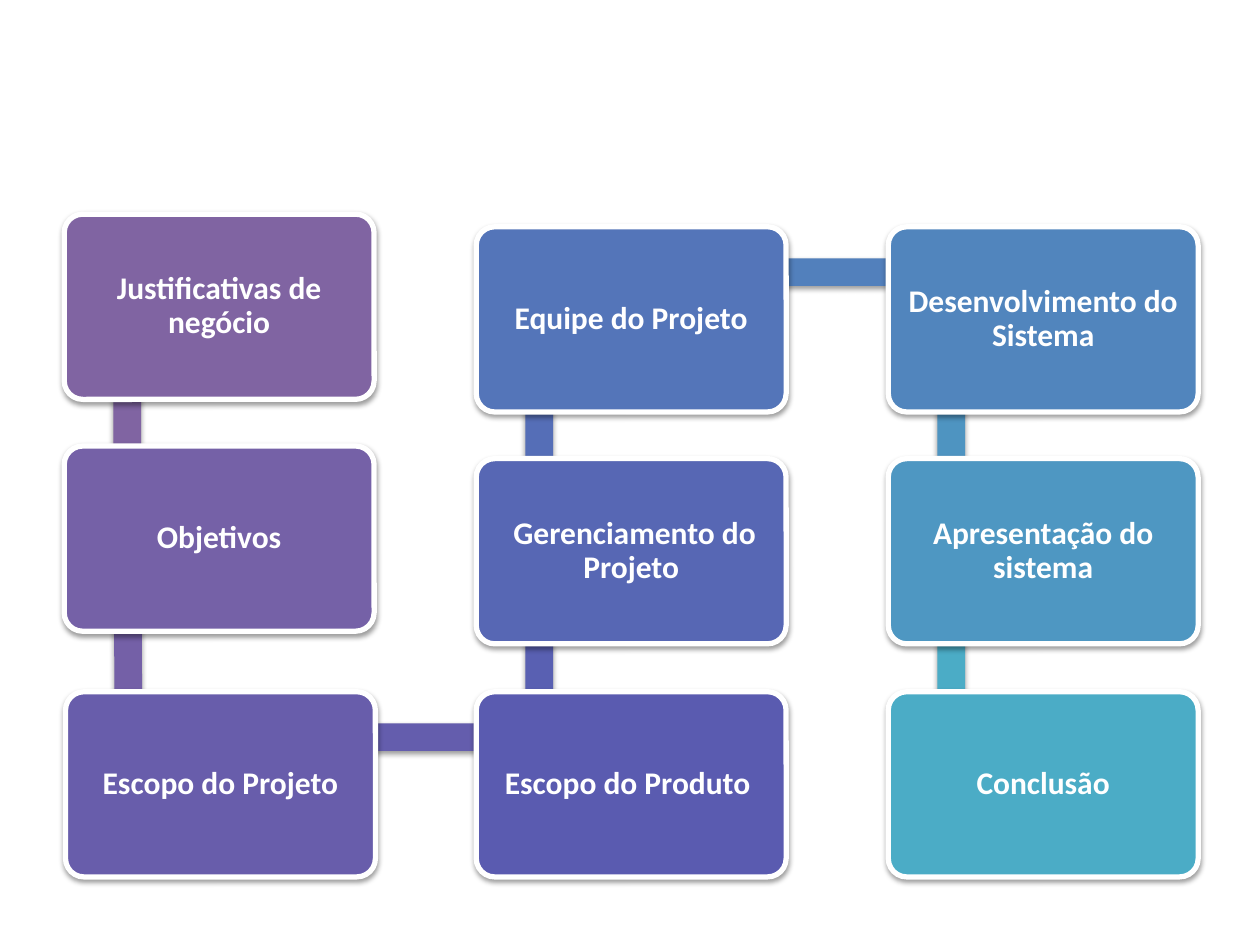
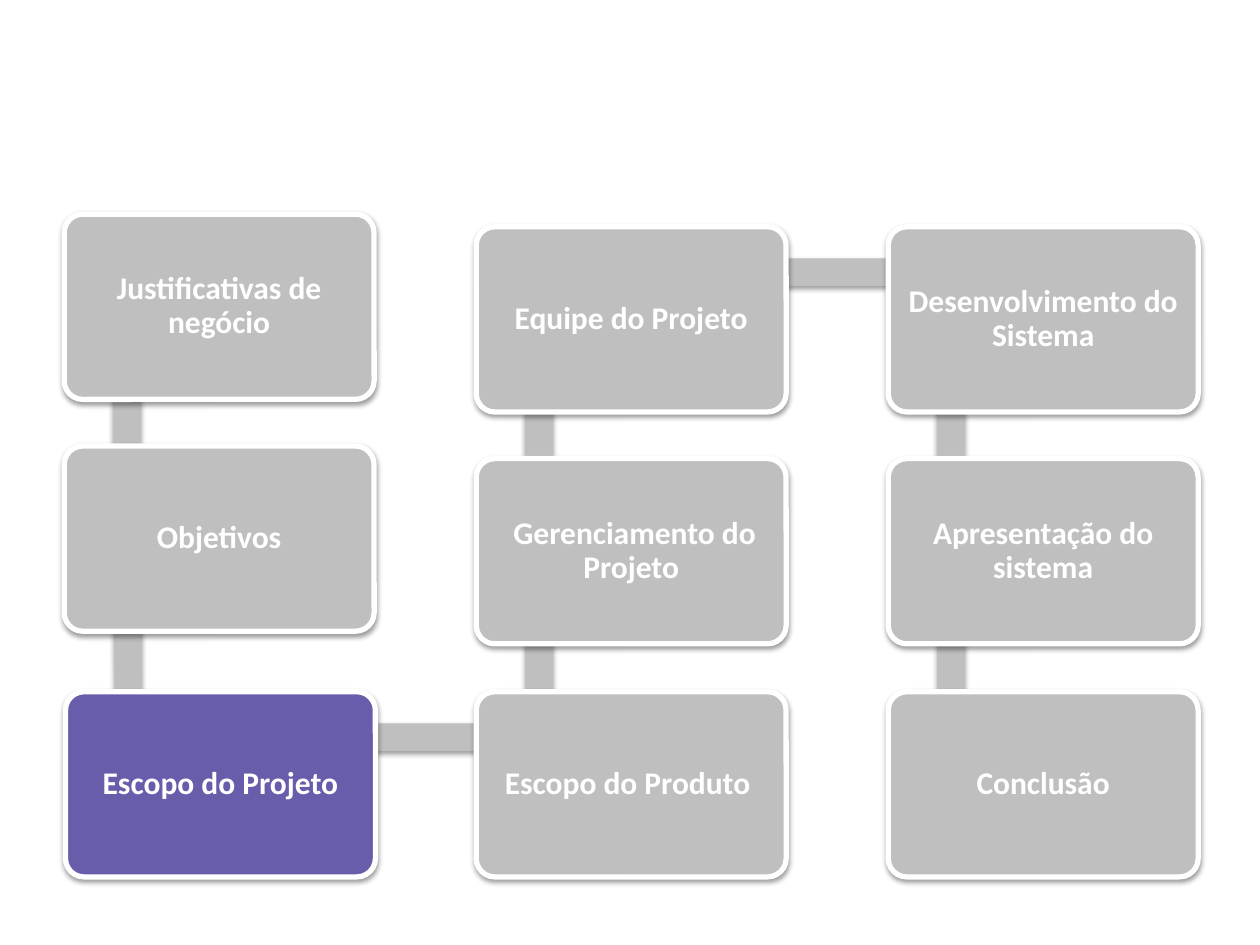
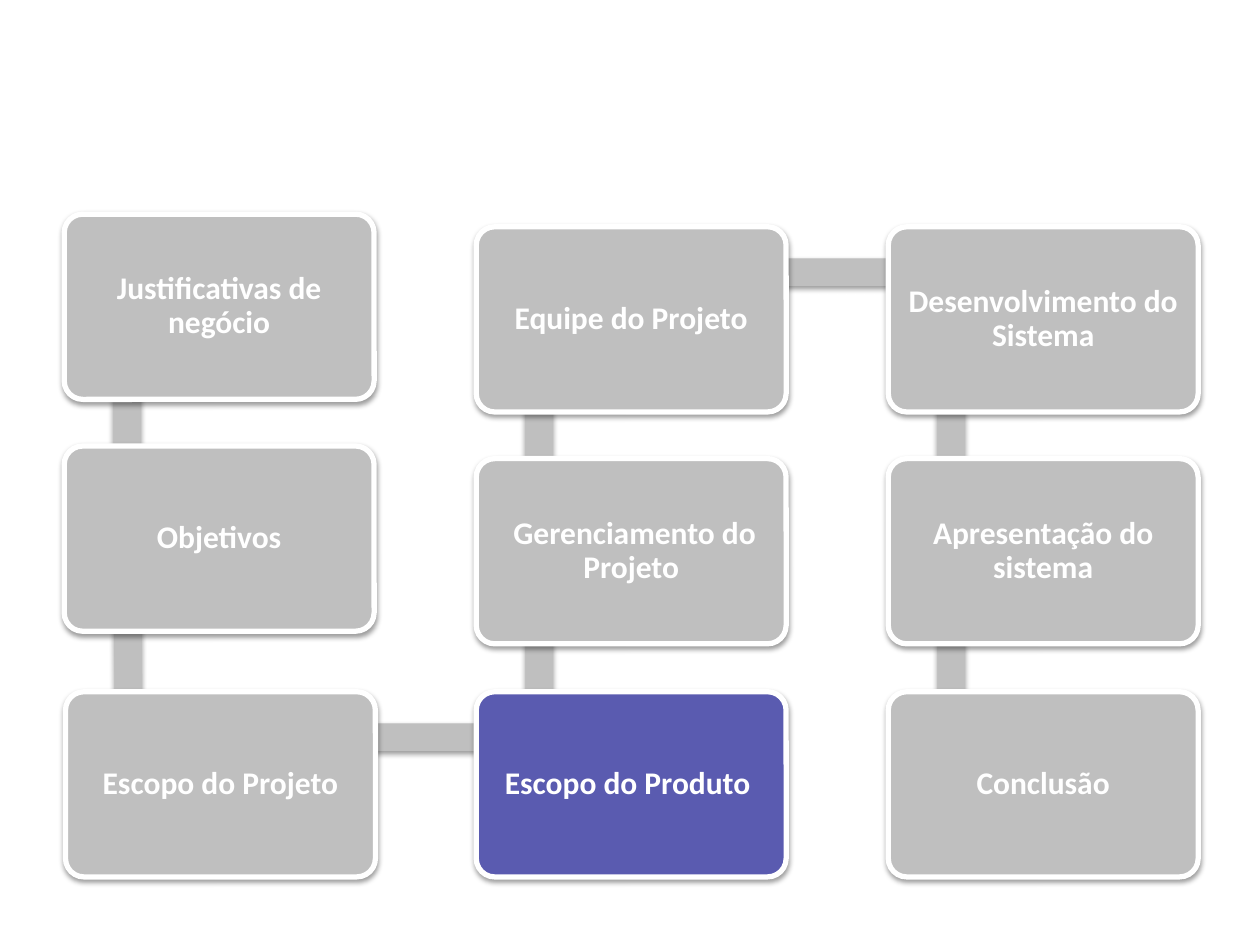
from dataclasses import dataclass
from itertools import zip_longest
from math import atan2, degrees, hypot

from pptx import Presentation
from pptx.dml.color import RGBColor
from pptx.enum.shapes import MSO_SHAPE as Kind
from pptx.enum.text import MSO_ANCHOR as Anchor, PP_ALIGN as Align
from pptx.oxml import parse_xml
from pptx.oxml.ns import nsdecls, qn
from pptx.shapes.autoshape import Shape
from pptx.slide import Slide
from pptx.util import Inches, Pt

WHITE, GREY = "FFFFFF", "BFBFBF"
FONT = "Calibri"
WIDE, HIGH = 2.46, 1.47
THICK = 0.22
HOOK_X, HOOK_Y = 0.5, 0.36
SHADOW = (
    f'<a:outerShdw {nsdecls("a")} blurRad="40000" dist="20000" dir="5400000" rotWithShape="0">'
    '<a:srgbClr val="000000"><a:alpha val="38000"/></a:srgbClr></a:outerShdw>'
)


@dataclass(frozen=True)
class Step:
    """One topic of the agenda and the bar that leaves it."""

    text: str
    left: float
    top: float
    fill: str
    bar: str = ""


STEPS = [
    Step("Justificativas de negócio", 0.51, 1.7, "8064A2", "8064A2"),
    Step("Objetivos", 0.51, 3.54, "7561A7", "7460A7"),
    Step("Escopo do Projeto", 0.52, 5.49, "685DAB", "645DAD"),
    Step("Escopo do Produto ", 3.78, 5.49, "5A5BB0", "5960B2"),
    Step(" Gerenciamento do Projeto", 3.78, 3.64, "5767B4", "556EB7"),
    Step("Equipe do Projeto", 3.78, 1.8, "5475B9", "5280BC"),
    Step("Desenvolvimento do Sistema", 7.05, 1.8, "5185BD", "4E94C1"),
    Step("Apresentação do sistema", 7.05, 3.64, "4E97C2", "4BACC6"),
    Step("Conclusão", 7.05, 5.49, "4BACC6"),
]


def color(code: str) -> RGBColor:
    """Turn a hex string into a colour."""
    return RGBColor.from_string(code)


def block(slide: Slide, kind: Kind, left: float, top: float,
          wide: float, high: float, fill: str) -> Shape:
    """Draw a filled shape with a soft shadow and no outline."""
    shape = slide.shapes.add_shape(
        kind, Inches(left), Inches(top), Inches(wide), Inches(high))
    shape.fill.solid()
    shape.fill.fore_color.rgb = color(fill)
    shape.line.fill.background()
    shape.shadow.inherit = False
    shape.element.spPr.find(qn("a:effectLst")).append(parse_xml(SHADOW))
    return shape


def link(slide: Slide, step: Step, goal: Step, fill: str) -> None:
    """Draw the bar that leads from one step to the next."""
    run, fall = goal.left - step.left, goal.top - step.top
    size = hypot(run, fall)
    mid_x = step.left + HOOK_X + run / 2
    mid_y = step.top + HOOK_Y + fall / 2
    bar = block(slide, Kind.RECTANGLE, mid_x - size / 2, mid_y - THICK / 2,
                size, THICK, fill)
    bar.rotation = degrees(atan2(fall, run)) % 360


def card(slide: Slide, step: Step, fill: str) -> None:
    """Draw the rounded box of a step with its label."""
    box = block(slide, Kind.ROUNDED_RECTANGLE, step.left, step.top, WIDE, HIGH, fill)
    box.adjustments[0] = 0.1
    box.line.color.rgb = color(WHITE)
    box.line.width = Pt(3)
    frame = box.text_frame
    frame.word_wrap = True
    frame.vertical_anchor = Anchor.MIDDLE
    frame.margin_left = frame.margin_right = Inches(0.07)
    frame.margin_top = frame.margin_bottom = Inches(0.07)
    para = frame.paragraphs[0]
    para.alignment = Align.CENTER
    para.line_spacing = 0.9
    run = para.add_run()
    run.text = step.text
    run.font.name = FONT
    run.font.size = Pt(18)
    run.font.bold = True
    run.font.color.rgb = color(WHITE)


def agenda(slide: Slide, focus: int | None = None) -> None:
    """Draw the agenda in full colour, or grey with one step in focus."""
    for spot, (step, goal) in enumerate(zip_longest(STEPS, STEPS[1:])):
        if goal:
            link(slide, step, goal, step.bar if focus is None else GREY)
        card(slide, step, step.fill if focus in (None, spot) else GREY)


def main() -> None:
    """Build and save the deck."""
    deck = Presentation()
    deck.slide_width, deck.slide_height = Inches(10), Inches(7.5)
    for focus in (None, 2, 3):
        agenda(deck.slides.add_slide(deck.slide_layouts[6]), focus)
    deck.save("out.pptx")


if __name__ == "__main__":
    main()
